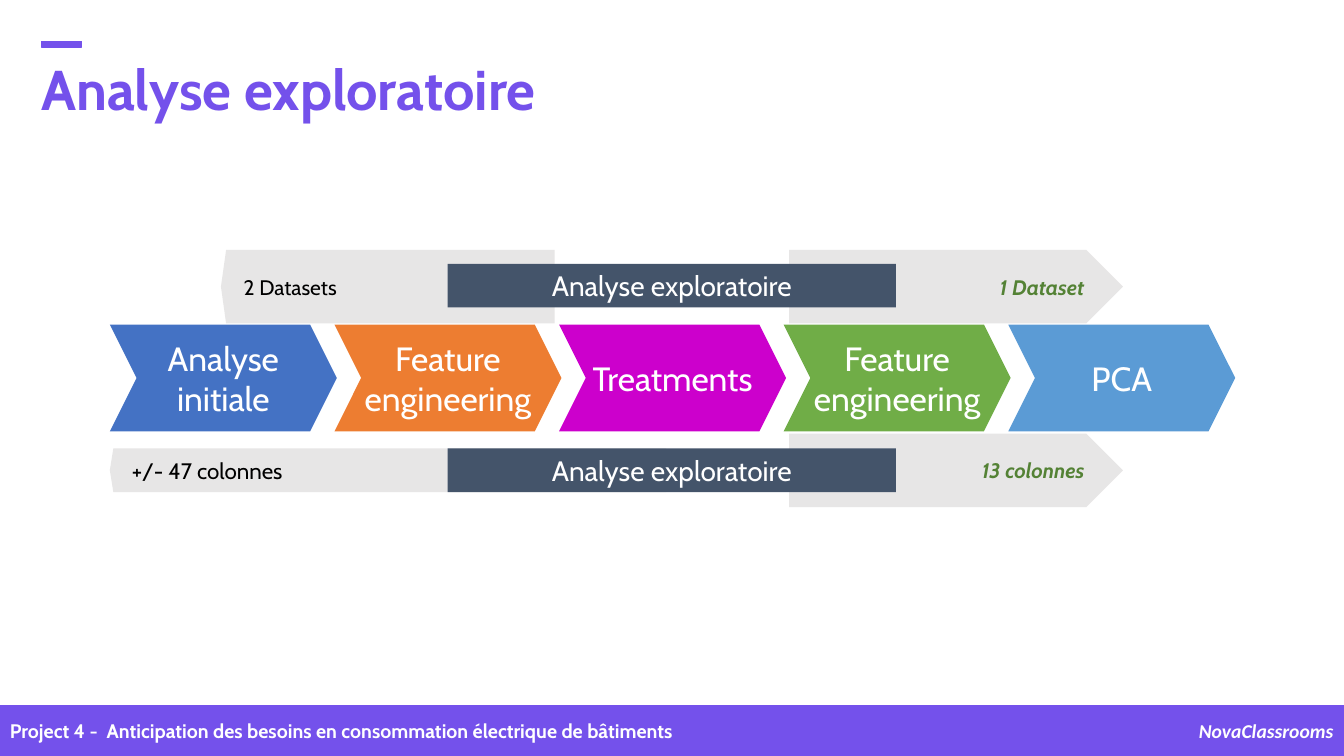
from pptx import Presentation
from pptx import util as u
from pptx.dml.color import RGBColor
from pptx.enum import shapes, text

PURPLE, WHITE, BLACK = "7451EB", "FFFFFF", "000000"
GREY, SLATE, GREEN = "E7E6E6", "44546A", "548235"
SHAPE, ALIGN = shapes.MSO_SHAPE, text.PP_ALIGN
STEPS = [
    ("Analyse initiale", "4472C4"),
    ("Feature engineering", "ED7D31"),
    ("Treatments", "CC00CC"),
    ("Feature engineering", "70AD47"),
    ("PCA", "5B9BD5"),
]
RESULT = {"size": u.Pt(15), "bold": True, "italic": True}


def rgb(value):
    return RGBColor.from_string(value)


def write(sp, words, color, align=ALIGN.LEFT, frame=None, **font):
    """Fill a shape with one paragraph; frame holds text frame settings."""
    tf = sp.text_frame
    tf.word_wrap = True
    for name, value in (frame or {}).items():
        setattr(tf, name, value)
    p = tf.paragraphs[0]
    p.alignment = align
    r = p.add_run()
    r.text = words
    r.font.color.rgb = rgb(color)
    for name, value in {"name": "Cabin", **font}.items():
        setattr(r.font, name, value)
    return p


def insets(left=0, right=0):
    return {"margin_left": u.Cm(left), "margin_right": u.Cm(right),
            "margin_top": 0, "margin_bottom": 0,
            "vertical_anchor": text.MSO_ANCHOR.MIDDLE}


def add_block(s, kind, box, fill, outlined=False, adj=None):
    sp = s.shapes.add_shape(kind, *map(u.Cm, box))
    sp.shadow.inherit = False
    sp.fill.solid()
    sp.fill.fore_color.rgb = rgb(fill)
    if outlined:
        sp.line.color.rgb = rgb(fill)
        sp.line.width = u.Pt(1)
    else:
        sp.line.fill.background()
    if adj is not None:
        sp.adjustments[0] = adj
    return sp


def add_label(s, box, words, color, align=ALIGN.LEFT, frame=None, **font):
    sp = s.shapes.add_textbox(*map(u.Cm, box))
    return write(sp, words, color, align, frame, **font)


def add_step(s, index, words, fill):
    sp = add_block(s, SHAPE.CHEVRON, (2.77 + 5.66 * index, 8.18, 5.72, 2.69), fill, adj=0.25)
    write(sp, words, WHITE, ALIGN.CENTER, insets(), size=u.Pt(24))


def add_start(s, box, words, size, adj):
    """Grey plate pointing left, holding the starting state."""
    sp = add_block(s, SHAPE.PENTAGON, box, GREY, adj=adj)
    sp._element.spPr.xfrm.set("flipH", "1")
    write(sp, words, BLACK, ALIGN.LEFT, insets(left=0.51), size=u.Pt(size))


def add_result(s, top, words):
    """Grey arrow pointing right, holding the final state."""
    sp = add_block(s, SHAPE.PENTAGON, (19.89, top, 8.41, 1.85), GREY, adj=0.5)
    write(sp, words, GREEN, ALIGN.RIGHT, insets(right=0.51), **RESULT)


def add_analysis(s, top):
    sp = add_block(s, SHAPE.RECTANGLE, (11.28, top, 11.3, 1.1), SLATE)
    write(sp, "Analyse exploratoire", WHITE, ALIGN.CENTER, insets(), size=u.Pt(20))


def add_footer(s):
    add_block(s, SHAPE.RECTANGLE, (0, 17.78, 33.87, 1.27), PURPLE, outlined=True)
    add_label(s, (29.29, 17.98, 4.57, 0.86), "NovaClassrooms", WHITE, ALIGN.RIGHT,
              name="Calibri", size=u.Pt(14), bold=True, italic=True)
    add_label(s, (0, 17.98, 18.75, 0.86),
              "Project 4 -  Anticipation des besoins en consommation électrique de bâtiments",
              WHITE, size=u.Pt(14), bold=True)


def add_title(s):
    p = add_label(s, (0.79, 1.19, 19.28, 2.29), "Analyse exploratoire", PURPLE,
                  frame={"vertical_anchor": text.MSO_ANCHOR.MIDDLE},
                  size=u.Pt(40), bold=True)
    p.line_spacing = 0.9
    add_block(s, SHAPE.RECTANGLE, (1.04, 1.04, 1.02, 0.15), PURPLE, outlined=True)


def main():
    prs = Presentation()
    prs.slide_width, prs.slide_height = u.Cm(33.87), u.Cm(19.05)
    s = prs.slides.add_slide(prs.slide_layouts[6])
    add_footer(s)
    add_title(s)
    for index, (words, fill) in enumerate(STEPS):
        add_step(s, index, words, fill)
    add_result(s, 10.93, "13 colonnes")
    add_start(s, (2.77, 11.3, 14.02, 1.1), "+/- 47 colonnes", 16, 0.08)
    add_analysis(s, 11.3)
    add_result(s, 6.3, "1 Dataset")
    add_start(s, (5.57, 6.3, 8.41, 1.85), "2 Datasets", 15, 0.07)
    add_analysis(s, 6.65)
    prs.save("out.pptx")


if __name__ == "__main__":
    main()
